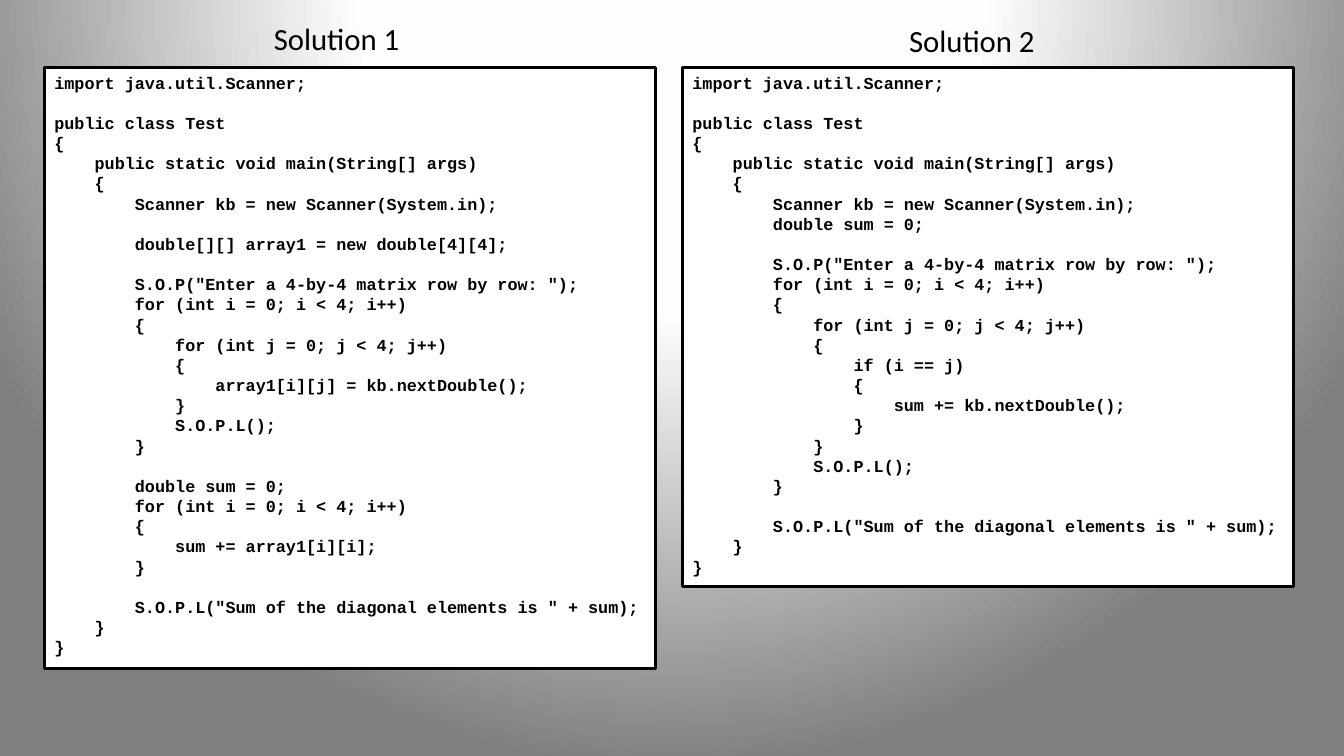
from dataclasses import dataclass

from pptx import Presentation
from pptx import util as u
from pptx.dml.color import RGBColor
from pptx.enum import shapes, text
from pptx.oxml import parse_xml
from pptx.oxml.ns import nsdecls, qn
from pptx.slide import Slide
from pptx.text.text import TextFrame


@dataclass(frozen=True)
class Theme:
    ink: str = "000000"
    panel: str = "FFFFFF"
    glow: tuple[tuple[int, str], ...] = ((0, "FFFFFF"), (40, "FEFEFE"), (100, "7F7F7F"))
    title_font: str = "Calibri"
    title_size: float = 22
    code_font: str = "Courier New"
    code_size: float = 12
    code_pitch: float = 14.4
    border: float = 2


@dataclass(frozen=True)
class Solution:
    title: str
    title_left: float
    title_top: float
    panel_left: float
    panel_height: float
    code: str


THEME = Theme()
PANEL_TOP, PANEL_WIDTH = 1.7, 15.4
TITLE_WIDTH, TITLE_HEIGHT = 3.71, 1.19

SOLUTIONS = (
    Solution("Solution 1", 6.65, 0.38, 1.12, 15.14, """\
import java.util.Scanner;

public class Test
{
    public static void main(String[] args)
    {
        Scanner kb = new Scanner(System.in);

        double[][] array1 = new double[4][4];

        S.O.P("Enter a 4-by-4 matrix row by row: ");
        for (int i = 0; i < 4; i++)
        {
            for (int j = 0; j < 4; j++)
            {
                array1[i][j] = kb.nextDouble();
            }
            S.O.P.L();
        }

        double sum = 0;
        for (int i = 0; i < 4; i++)
        {
            sum += array1[i][i];
        }

        S.O.P.L("Sum of the diagonal elements is " + sum);
    }
}"""),
    Solution("Solution 2", 22.66, 0.43, 17.2, 13.08, """\
import java.util.Scanner;

public class Test
{
    public static void main(String[] args)
    {
        Scanner kb = new Scanner(System.in);
        double sum = 0;

        S.O.P("Enter a 4-by-4 matrix row by row: ");
        for (int i = 0; i < 4; i++)
        {
            for (int j = 0; j < 4; j++)
            {
                if (i == j)
                {
                    sum += kb.nextDouble();
                }
            }
            S.O.P.L();
        }

        S.O.P.L("Sum of the diagonal elements is " + sum);
    }
}"""),
)


def paint_background(slide: Slide) -> None:
    """Fill the slide with a circular gradient centred above its top edge."""
    slide.background.fill.solid()
    stops = "".join(
        f'<a:gs pos="{position * 1000}"><a:srgbClr val="{color}"/></a:gs>'
        for position, color in THEME.glow
    )
    gradient = parse_xml(
        f'<a:gradFill {nsdecls("a")} rotWithShape="1"><a:gsLst>{stops}</a:gsLst>'
        '<a:path path="circle">'
        '<a:fillToRect l="50000" t="-80000" r="50000" b="180000"/>'
        "</a:path></a:gradFill>"
    )
    properties = slide.element.find(f".//{qn('p:bgPr')}")
    properties.replace(properties.find(qn("a:solidFill")), gradient)


def write_lines(frame: TextFrame, content: str, font: str, size: float,
                bold: bool = False, pitch: float | None = None) -> None:
    """Write one left-aligned paragraph per line, with an optional fixed pitch."""
    frame.word_wrap = True
    frame.vertical_anchor = text.MSO_ANCHOR.TOP
    frame.text = content
    for paragraph in frame.paragraphs:
        paragraph.alignment = text.PP_ALIGN.LEFT
        if pitch is not None:
            paragraph.line_spacing = u.Pt(pitch)
        paragraph.font.name = font
        paragraph.font.size = u.Pt(size)
        paragraph.font.bold = bold
        paragraph.font.color.rgb = RGBColor.from_string(THEME.ink)


def add_code_panel(slide: Slide, solution: Solution) -> None:
    panel = slide.shapes.add_shape(
        shapes.MSO_SHAPE.RECTANGLE, u.Cm(solution.panel_left), u.Cm(PANEL_TOP),
        u.Cm(PANEL_WIDTH), u.Cm(solution.panel_height),
    )
    panel.shadow.inherit = False
    panel.fill.solid()
    panel.fill.fore_color.rgb = RGBColor.from_string(THEME.panel)
    panel.line.color.rgb = RGBColor.from_string(THEME.ink)
    panel.line.width = u.Pt(THEME.border)
    write_lines(panel.text_frame, solution.code, THEME.code_font, THEME.code_size,
                bold=True, pitch=THEME.code_pitch)


def add_title(slide: Slide, solution: Solution) -> None:
    title = slide.shapes.add_textbox(
        u.Cm(solution.title_left), u.Cm(solution.title_top),
        u.Cm(TITLE_WIDTH), u.Cm(TITLE_HEIGHT),
    )
    write_lines(title.text_frame, solution.title, THEME.title_font, THEME.title_size)


def main() -> None:
    presentation = Presentation()
    presentation.slide_width = u.Cm(33.87)
    presentation.slide_height = u.Cm(19.05)
    slide = presentation.slides.add_slide(presentation.slide_layouts[6])
    paint_background(slide)
    for solution in SOLUTIONS:
        add_code_panel(slide, solution)
        add_title(slide, solution)
    presentation.save("out.pptx")


if __name__ == "__main__":
    main()
